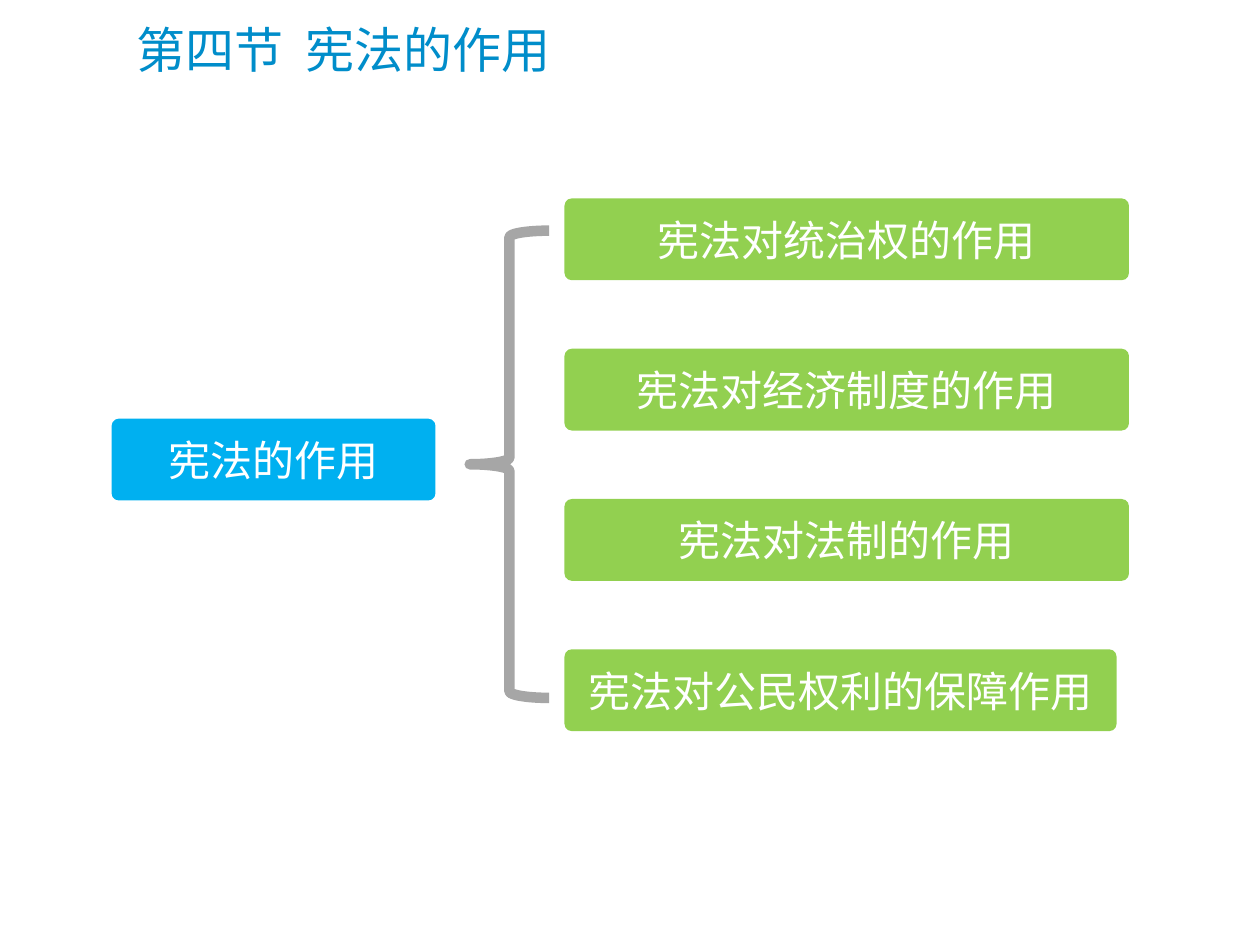
import lxml.etree
import pptx
import pptx.dml.color
import pptx.enum.shapes
import pptx.enum.text
import pptx.oxml.ns
import pptx.util

Cm = pptx.util.Cm
Pt = pptx.util.Pt
SHAPES = pptx.enum.shapes.MSO_SHAPE
ALIGN = pptx.enum.text.PP_ALIGN

TITLE = "第四节  宪法的作用"
ROOT = "宪法的作用"
BRANCHES = [  # text, width in cm
    ("宪法对统治权的作用", 11.38),
    ("宪法对经济制度的作用", 11.38),
    ("宪法对法制的作用", 11.38),
    ("宪法对公民权利的保障作用", 11.13),
]
COLORS = {
    "title": "008DCA",
    "root": "00B0F0",
    "branch": "92D050",
    "brace": "A6A6A6",
    "label": "FFFFFF",
}
LATIN_FONT = "Calibri"
CHINESE_FONT = "Noto Sans CJK SC"

BOX_HEIGHT = 1.65
BRANCH_LEFT, BRANCH_TOP, BRANCH_STEP = 11.38, 4.0, 3.03


def rgb(name):
    return pptx.dml.color.RGBColor.from_string(COLORS[name])


def write(shape, text, size, color, font, alignment):
    frame = shape.text_frame
    frame.word_wrap = True
    frame.vertical_anchor = pptx.enum.text.MSO_ANCHOR.MIDDLE
    paragraph = frame.paragraphs[0]
    paragraph.alignment = alignment
    run = paragraph.add_run()
    run.text = text
    run.font.size = Pt(size)
    run.font.color.rgb = rgb(color)
    run.font.name = font
    east_asian = lxml.etree.SubElement(
        run.font._element, pptx.oxml.ns.qn("a:ea"))
    east_asian.set("typeface", CHINESE_FONT)


def add_box(slide, text, left, top, width, color, font):
    box = slide.shapes.add_shape(
        SHAPES.ROUNDED_RECTANGLE, Cm(left), Cm(top), Cm(width), Cm(BOX_HEIGHT))
    box.adjustments[0] = 0.09
    box.shadow.inherit = False
    box.fill.solid()
    box.fill.fore_color.rgb = rgb(color)
    box.line.fill.background()
    write(box, text, 24, "label", font, ALIGN.CENTER)


def add_brace(slide, left, top, width, height):
    brace = slide.shapes.add_shape(
        SHAPES.LEFT_BRACE, Cm(left), Cm(top), Cm(width), Cm(height))
    brace.shadow.inherit = False
    brace.fill.background()
    brace.line.color.rgb = rgb("brace")
    brace.line.width = Pt(6)


def main():
    presentation = pptx.Presentation()
    presentation.slide_width = Cm(25.4)
    presentation.slide_height = Cm(19.05)
    slide = presentation.slides.add_slide(presentation.slide_layouts[6])

    title = slide.shapes.add_textbox(Cm(2.51), Cm(0.25), Cm(22.15), Cm(1.47))
    write(title, TITLE, 28, "title", LATIN_FONT, ALIGN.LEFT)

    add_brace(slide, 9.47, 4.65, 1.6, 9.42)
    add_box(slide, ROOT, 2.25, 8.44, 6.53, "root", CHINESE_FONT)
    for index, (text, width) in enumerate(BRANCHES):
        top = BRANCH_TOP + index * BRANCH_STEP
        add_box(slide, text, BRANCH_LEFT, top, width, "branch", LATIN_FONT)

    presentation.save("out.pptx")


if __name__ == "__main__":
    main()
